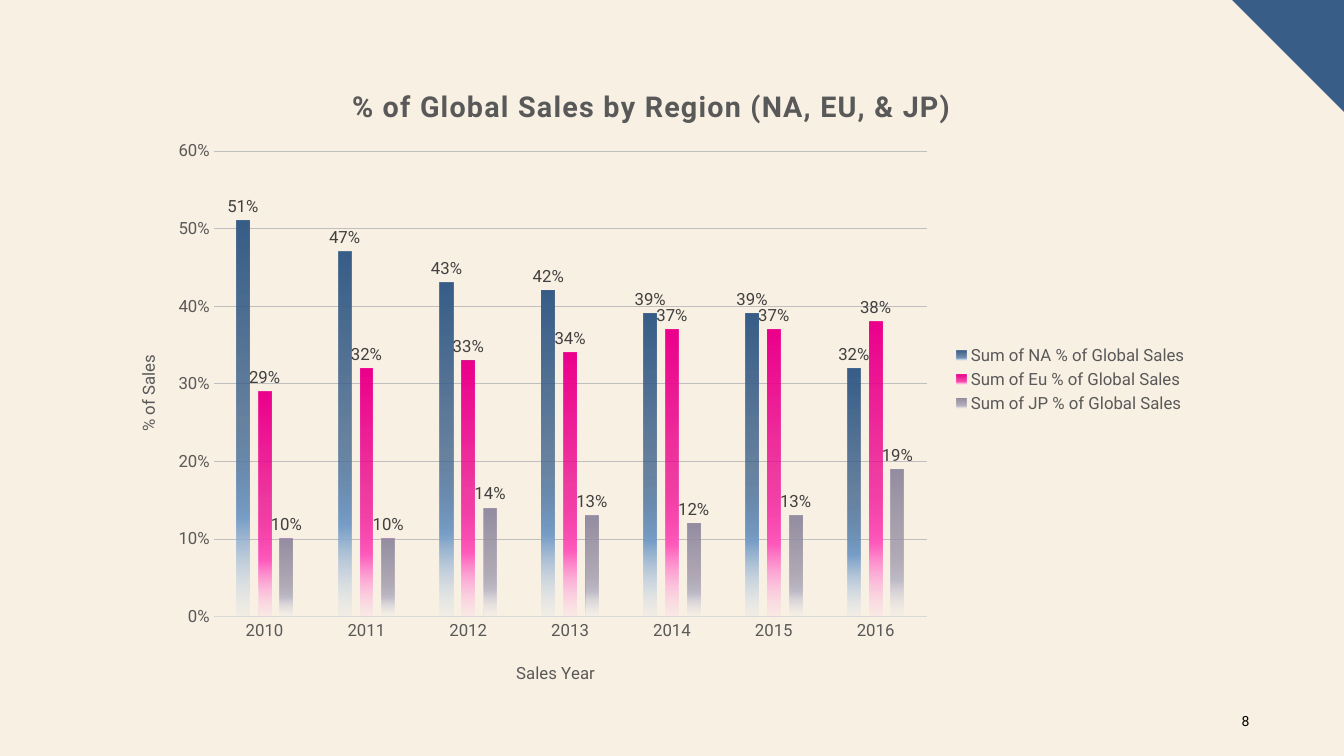
from pptx import Presentation
from pptx.chart.data import CategoryChartData
from pptx.dml.color import RGBColor
from pptx.enum.chart import (
    XL_CHART_TYPE as ChartType,
    XL_LABEL_POSITION as LabelPosition,
    XL_LEGEND_POSITION as LegendPosition,
    XL_TICK_MARK as TickMark,
)
from pptx.enum.text import MSO_ANCHOR as Anchor, PP_ALIGN as Align
from pptx.oxml import parse_xml
from pptx.oxml.ns import nsdecls, qn
from pptx.util import Inches, Pt

FONT = "Roboto"
COLORS = {
    "cream": "F8F0E3",
    "navy": "385E88",
    "black": "000000",
    "text": "595959",
    "label": "404040",
    "axis": "D9D9D9",
    "grid": "BFBFBF",
}
YEARS = [str(year) for year in range(2010, 2017)]
REGIONS = {
    "NA": ([0.51, 0.47, 0.43, 0.42, 0.39, 0.39, 0.32], ("385E88", "789EC7", "D2DFEC")),
    "Eu": ([0.29, 0.32, 0.33, 0.34, 0.37, 0.37, 0.38], ("EC008C", "FF5BBC", "FFC8E9")),
    "JP": ([0.10, 0.10, 0.14, 0.13, 0.12, 0.13, 0.19], ("958EA2", "BFBBC7", "EAE8EC")),
}
CHART_LEFT, CHART_TOP, CHART_WIDTH, CHART_HEIGHT = 1.09, 0.56, 10.77, 6.39


def color(name):
    """Return the named colour."""
    return RGBColor.from_string(COLORS[name])


def set_font(font, size, name, bold=False):
    """Apply the deck font with a size, colour and weight."""
    for key, value in {"name": FONT, "size": Pt(size), "bold": bold}.items():
        setattr(font, key, value)
    font.color.rgb = color(name)


def set_line(line, name):
    """Apply a thin line in the named colour."""
    line.color.rgb = color(name)
    line.width = Pt(0.75)


def place(part, index, left, top, width=None, height=None, inner=False):
    """Fix a chart part at a slide position given in inches."""
    for old in part.findall(qn("c:layout")):
        part.remove(old)
    values = {
        "x": (left - CHART_LEFT) / CHART_WIDTH,
        "y": (top - CHART_TOP) / CHART_HEIGHT,
    }
    if width:
        values.update(w=width / CHART_WIDTH, h=height / CHART_HEIGHT)
    target = '<c:layoutTarget val="inner"/>' if inner else ""
    modes = '<c:xMode val="edge"/><c:yMode val="edge"/>'
    sizes = "".join(f'<c:{key} val="{value:.4f}"/>' for key, value in values.items())
    part.insert(index, parse_xml(
        f'<c:layout {nsdecls("c")}><c:manualLayout>{target}{modes}{sizes}'
        "</c:manualLayout></c:layout>"
    ))


def add_title(owner, text, size, left, top, bold=False):
    """Give a chart or an axis a placed title and return its text frame."""
    owner.has_title = True
    title = owner.chart_title if hasattr(owner, "chart_title") else owner.axis_title
    frame = title.text_frame
    para = frame.paragraphs[0]
    span = para.add_run()
    span.text = text
    set_font(para.font, size, "text", bold)
    set_font(span.font, size, "text", bold)
    place(title._element, 1, left, top)
    return frame


def fade_bars(series, shades):
    """Fill a series with a vertical gradient that fades at the base."""
    strong, middle, pale = shades
    stops = [(0, strong, 100), (51, strong, 75), (75, middle, 100), (100, pale, 15)]
    marks = "".join(
        f'<a:gs pos="{spot * 1000}"><a:srgbClr val="{shade}">'
        f'<a:alpha val="{alpha * 1000}"/></a:srgbClr></a:gs>'
        for spot, shade, alpha in stops
    )
    properties = series._element.get_or_add_spPr()
    properties.insert(0, parse_xml(
        f'<a:gradFill {nsdecls("a")}><a:gsLst>{marks}</a:gsLst>'
        '<a:lin ang="5400000" scaled="0"/></a:gradFill>'
    ))


def style_axes(chart):
    """Format both axes, their titles and the grid."""
    years, shares = chart.category_axis, chart.value_axis
    for axis in (years, shares):
        axis.major_tick_mark = axis.minor_tick_mark = TickMark.NONE
        set_font(axis.tick_labels.font, 12, "text")
    set_line(years.format.line, "axis")
    shares.format.line.fill.background()
    scale = {"minimum_scale": 0, "maximum_scale": 0.6, "major_unit": 0.1}
    for key, value in scale.items():
        setattr(shares, key, value)
    shares.tick_labels.number_format = "0%"
    shares.tick_labels.number_format_is_linked = False
    set_line(shares.major_gridlines.format.line, "grid")
    add_title(years, "Sales Year", 12, 5.09, 6.53)
    frame = add_title(shares, "% of Sales", 12, 1.33, 3.49)
    turn = frame._txBody.find(qn("a:bodyPr"))
    turn.set("rot", "-5400000")
    turn.set("vert", "horz")


def add_sales_chart(page):
    """Add the clustered columns of regional sales shares."""
    data = CategoryChartData(number_format="0%")
    data.categories = YEARS
    for region, (shares, _) in REGIONS.items():
        data.add_series(f"Sum of {region} % of Global Sales", shares)
    bounds = map(Inches, (CHART_LEFT, CHART_TOP, CHART_WIDTH, CHART_HEIGHT))
    chart = page.shapes.add_chart(ChartType.COLUMN_CLUSTERED, *bounds, data).chart
    set_font(chart.font, 10, "black")
    frame = add_title(
        chart, "% of Global Sales by Region (NA, EU, & JP)", 20.5, 3.44, 0.82, True
    )
    frame.paragraphs[0].runs[0].font._element.set("spc", "100")
    style_axes(chart)
    plot = chart.plots[0]
    plot.gap_width, plot.overlap, plot.vary_by_categories = 355, -70, False
    for series, (_, shades) in zip(plot.series, REGIONS.values()):
        fade_bars(series, shades)
    plot.has_data_labels = True
    labels = plot.data_labels
    formats = {
        "show_value": True,
        "position": LabelPosition.OUTSIDE_END,
        "number_format": "0%",
        "number_format_is_linked": False,
    }
    for key, value in formats.items():
        setattr(labels, key, value)
    set_font(labels.font, 12, "label")
    chart.has_legend = True
    chart.legend.position = LegendPosition.RIGHT
    chart.legend.include_in_layout = False
    set_font(chart.legend.font, 12, "text")
    place(chart.legend._element, 1, 9.42, 3.39, 2.4, 0.75)
    plot_area = chart._chartSpace.find(".//" + qn("c:plotArea"))
    place(plot_area, 0, 2.12, 1.5, 7.07, 4.62, inner=True)


def add_corner(page):
    """Add the triangle in the top right corner."""
    left, right, drop = Inches(12.22), Inches(13.33), Inches(1.11)
    builder = page.shapes.build_freeform(left, 0)
    builder.add_line_segments([(right, 0), (right, drop)])
    corner = builder.convert_to_shape()
    corner.shadow.inherit = False
    corner.fill.solid()
    corner.fill.fore_color.rgb = color("navy")
    corner.line.fill.background()


def add_page_number(page, number):
    """Add the page number at the bottom right."""
    box = page.shapes.add_textbox(*map(Inches, (11.99, 6.95, 0.5, 0.4)))
    frame = box.text_frame
    frame.word_wrap = True
    frame.vertical_anchor = Anchor.MIDDLE
    para = frame.paragraphs[0]
    para.alignment = Align.RIGHT
    span = para.add_run()
    span.text = number
    set_font(span.font, 10, "black")


def main():
    """Build and save the slide."""
    deck = Presentation()
    deck.slide_width, deck.slide_height = Inches(13.33), Inches(7.5)
    page = deck.slides.add_slide(deck.slide_layouts[6])
    page.background.fill.solid()
    page.background.fill.fore_color.rgb = color("cream")
    add_corner(page)
    add_page_number(page, "8")
    add_sales_chart(page)
    deck.save("out.pptx")


if __name__ == "__main__":
    main()
